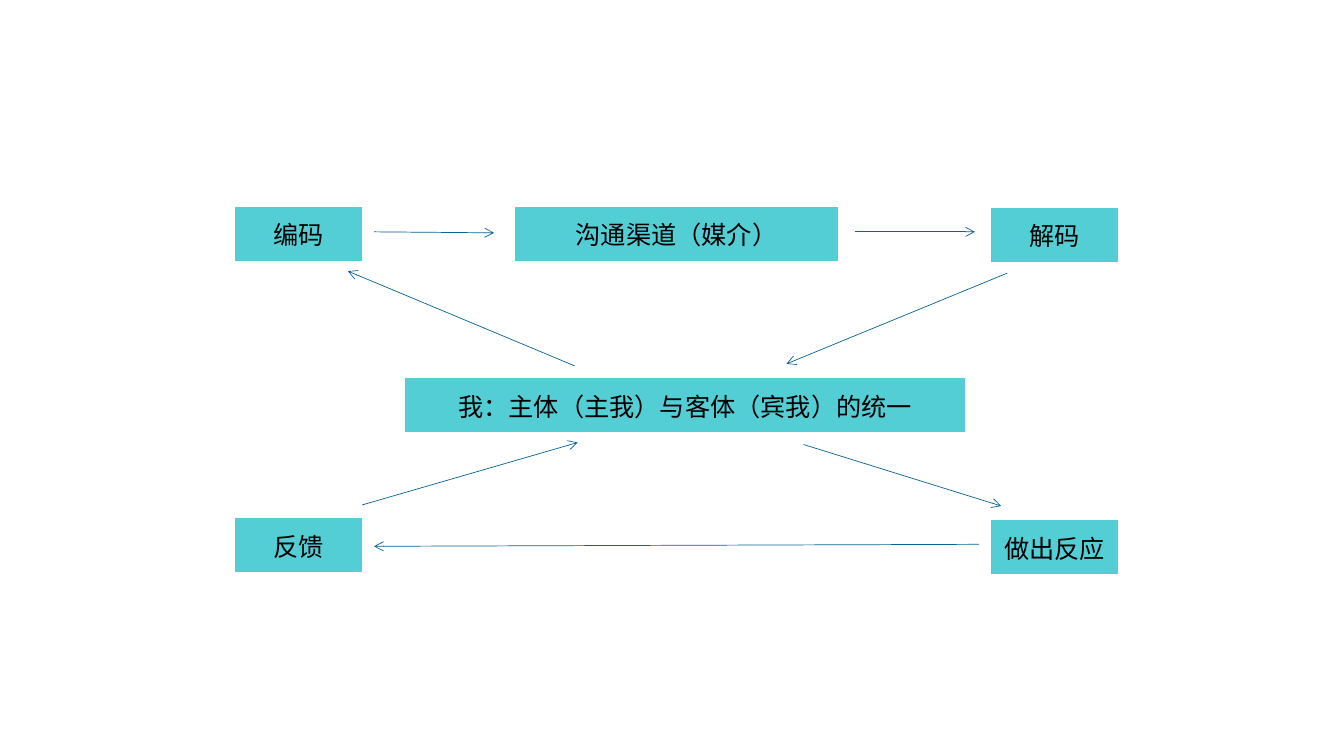
from lxml import etree
from pptx import Presentation
from pptx.dml.color import RGBColor
from pptx.enum.shapes import MSO_CONNECTOR
from pptx.enum.text import PP_ALIGN
from pptx.oxml import parse_xml
from pptx.oxml.ns import nsdecls, qn
from pptx.util import Inches, Pt

LINE = MSO_CONNECTOR.STRAIGHT
CENTER = PP_ALIGN.CENTER
THEME = {
    "fill": "53CED5", "text": "000000", "arrow": "096493",
    "font": "Arial", "size": 18, "edge": 6, "thin": 0.5,
}

# Columns and rows of the diagram, in inches
LEFT, RIGHT = 2.33, 9.83
TOP, MID, LOW = 2.09, 3.79, 5.19
SMALL, TALL = 1.26, 0.42
GAP = 0.12

BOXES = [
    ("沟通渠道（媒介）", 5.11, TOP, 3.2),
    ("我：主体（主我）与客体（宾我）的统一", 4.02, MID, 5.55),
    ("编码", LEFT, TOP, SMALL),
    ("解码", RIGHT, TOP + 0.01, SMALL),
    ("反馈", LEFT, LOW - 0.01, SMALL),
    ("做出反应", RIGHT, LOW + 0.01, SMALL),
]
SIDE = LEFT + SMALL + GAP
ARROWS = [
    (RIGHT - GAP, 5.4, SIDE, 5.42),
    (SIDE, 2.3, SIDE + 1.19, 2.31),
    (8.48, 2.3, 9.67, 2.3),
    (LEFT + SMALL, 5.01, 5.73, 4.39),
    (7.97, 4.41, 9.93, 5.02),
    (9.99, 2.71, 7.8, 3.61),
    (5.7, 3.63, 3.45, 2.69),
]


def set_edges(cell):
    """Hide the side borders; give top and bottom a thick line."""
    solid = f'<a:solidFill><a:srgbClr val="{THEME["fill"]}"/></a:solidFill>'
    edges = [("lnL", "<a:noFill/>"), ("lnR", "<a:noFill/>"),
             ("lnT", solid), ("lnB", solid)]
    props = cell._tc.get_or_add_tcPr()
    for at, (tag, paint) in enumerate(edges):
        props.insert(at, parse_xml(
            f'<a:{tag} {nsdecls("a")} w="{Pt(THEME["edge"])}">{paint}</a:{tag}>'))


deck = Presentation()
deck.slide_width, deck.slide_height = Inches(13.33), Inches(7.5)
slide = deck.slides.add_slide(deck.slide_layouts[6])

for label, x, y, wide in BOXES:
    table = slide.shapes.add_table(
        1, 1, Inches(x), Inches(y), Inches(wide), Inches(TALL)).table
    table.first_row = table.horz_banding = False
    cell = table.cell(0, 0)
    cell.fill.solid()
    cell.fill.fore_color.rgb = RGBColor.from_string(THEME["fill"])
    set_edges(cell)
    para = cell.text_frame.paragraphs[0]
    para.alignment = CENTER
    run = para.add_run()
    run.text = label
    run.font.name = THEME["font"]
    run.font.size = Pt(THEME["size"])
    run.font.color.rgb = RGBColor.from_string(THEME["text"])

for ends in ARROWS:
    arrow = slide.shapes.add_connector(LINE, *map(Inches, ends))
    arrow.line.width = Pt(THEME["thin"])
    arrow.line.color.rgb = RGBColor.from_string(THEME["arrow"])
    etree.SubElement(arrow.line._get_or_add_ln(), qn("a:tailEnd"), type="arrow")
    etree.SubElement(arrow._element.spPr, qn("a:effectLst"))

deck.save("out.pptx")
